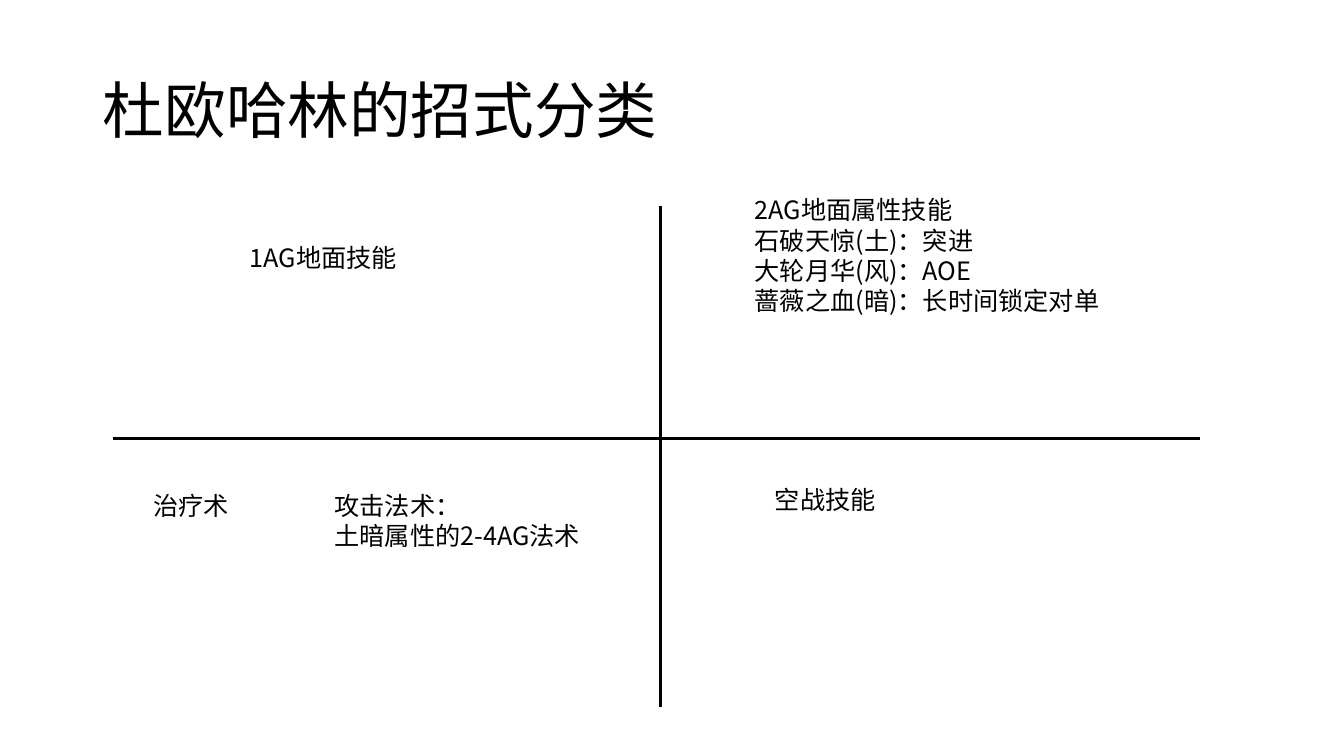
from lxml import etree
from pptx import Presentation
from pptx.dml.color import RGBColor
from pptx.enum.shapes import MSO_CONNECTOR
from pptx.enum.text import MSO_ANCHOR, MSO_AUTO_SIZE, PP_ALIGN
from pptx.oxml.ns import qn
from pptx.util import Cm, Pt

STRAIGHT = MSO_CONNECTOR.STRAIGHT
TOP, MIDDLE = MSO_ANCHOR.TOP, MSO_ANCHOR.MIDDLE
NO_AUTO_SIZE = MSO_AUTO_SIZE.NONE
LEFT = PP_ALIGN.LEFT
FONT = "Noto Sans CJK SC"
COLORS = {"text": "000000", "axis": "000000"}

SKILL_GROUPS = [
    ((6.05, 5.97, 4.27, 1.02), ["1AG地面技能"]),
    ((18.77, 4.78, 9.22, 3.33), [
        "2AG地面属性技能",
        "石破天惊(土)：突进",
        "大轮月华(风)：AOE",
        "蔷薇之血(暗)：长时间锁定对单",
    ]),
    ((19.28, 12.07, 3.07, 1.02), ["空战技能"]),
    ((3.61, 12.22, 2.44, 1.02), ["治疗术"]),
    ((8.18, 12.22, 6.83, 1.8), ["攻击法术：", "土暗属性的2-4AG法术"]),
]


def add_run(paragraph, text, size):
    run = paragraph.add_run()
    run.text = text
    run.font.size = Pt(size)
    run.font.color.rgb = RGBColor.from_string(COLORS["text"])
    run.font.name = FONT
    properties = run.font._element
    etree.SubElement(properties, qn("a:ea"), typeface=FONT)


def fill_text(shape, lines, size, anchor, line_spacing=1.0):
    frame = shape.text_frame
    frame.word_wrap = True
    frame.auto_size = NO_AUTO_SIZE
    frame.vertical_anchor = anchor
    for index, line in enumerate(lines):
        paragraph = frame.add_paragraph() if index else frame.paragraphs[0]
        paragraph.alignment = LEFT
        paragraph.line_spacing = line_spacing
        add_run(paragraph, line, size)


def set_title(slide, text):
    title = slide.shapes.title
    title.left, title.top = Cm(2.34), Cm(1.02)
    title.width, title.height = Cm(29.21), Cm(3.68)
    fill_text(title, [text], 44, MIDDLE, 0.9)


def add_axis(slide, *ends):
    axis = slide.shapes.add_connector(STRAIGHT, *map(Cm, ends))
    axis.line.color.rgb = RGBColor.from_string(COLORS["axis"])
    axis.line.width = Pt(2.25)
    etree.SubElement(axis._element.spPr, qn("a:effectLst"))


def add_skill_group(slide, box, lines):
    shape = slide.shapes.add_textbox(*map(Cm, box))
    fill_text(shape, lines, 18, TOP)


def main():
    presentation = Presentation()
    presentation.slide_width = Cm(33.87)
    presentation.slide_height = Cm(19.05)
    title_only = presentation.slide_layouts.get_by_name("Title Only")
    slide = presentation.slides.add_slide(title_only)
    set_title(slide, "杜欧哈林的招式分类")
    add_axis(slide, 2.84, 11.05, 30.23, 11.05)
    add_axis(slide, 16.64, 5.18, 16.64, 17.81)
    for box, lines in SKILL_GROUPS:
        add_skill_group(slide, box, lines)
    presentation.save("out.pptx")


main()
